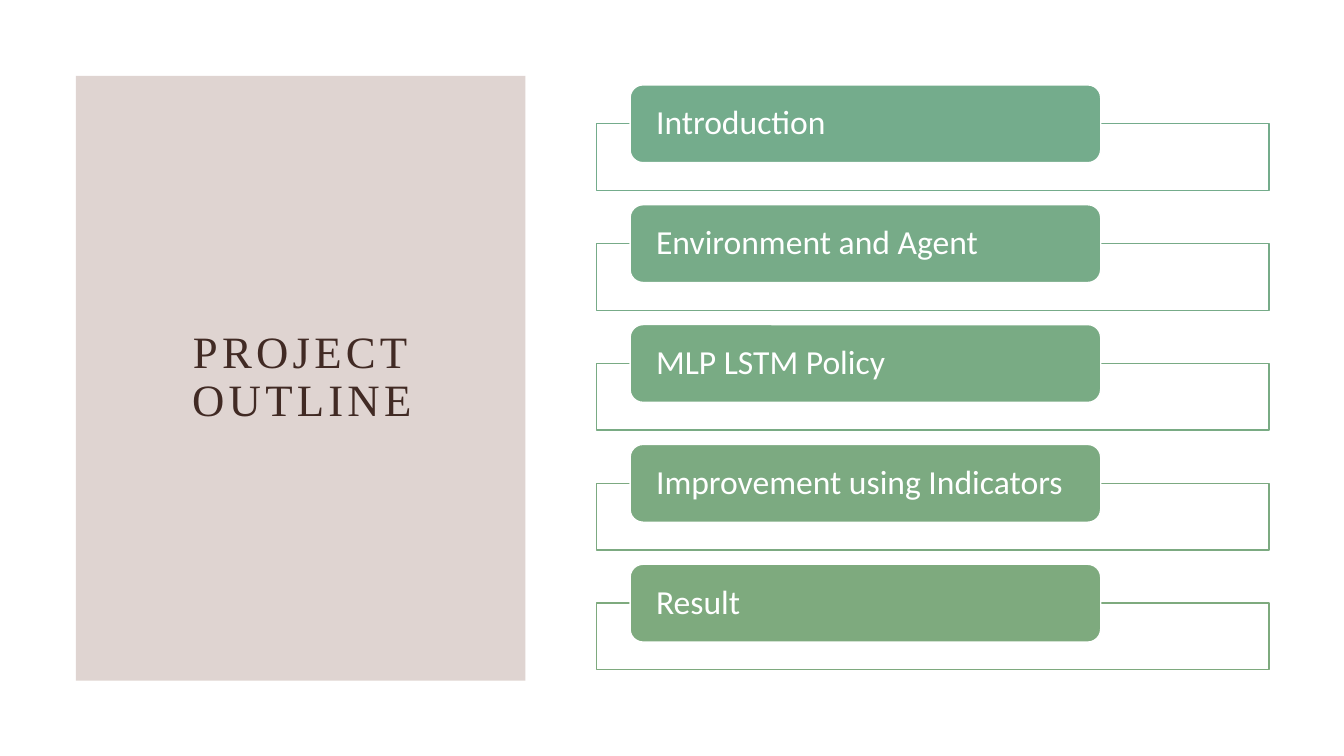
import pptx
import pptx.dml.color
import pptx.enum.shapes
import pptx.enum.text
import pptx.oxml
import pptx.oxml.ns
import pptx.util
from pptx.dml.color import RGBColor
from pptx.util import Cm

WHITE = RGBColor(0xFF, 0xFF, 0xFF)
ROSE = RGBColor(0x83, 0x55, 0x48)
BROWN = RGBColor(0x41, 0x2A, 0x24)
SECTIONS = [
    ("Introduction", RGBColor(0x74, 0xAC, 0x8C)),
    ("Environment and Agent", RGBColor(0x77, 0xAB, 0x88)),
    ("MLP LSTM Policy", RGBColor(0x79, 0xAB, 0x84)),
    ("Improvement using Indicators", RGBColor(0x7C, 0xAA, 0x81)),
    ("Result", RGBColor(0x7E, 0xAA, 0x7E)),
]
ROW_PITCH = 3.02


def apply_format(target, values):
    for name, value in values.items():
        setattr(target, name, value)


class OutlineSlide:
    title_font = {"name": "Times New Roman", "size": pptx.util.Pt(32)}
    label_font = {"name": "Calibri", "size": pptx.util.Pt(24)}
    label_frame = {"margin_left": Cm(0.56), "margin_right": Cm(0.56),
                   "margin_top": 0, "margin_bottom": 0}
    shapes = pptx.enum.shapes.MSO_SHAPE
    alignments = pptx.enum.text.PP_ALIGN

    def __init__(self, deck):
        self.page = deck.slides.add_slide(deck.slide_layouts[6])

    def block(self, kind, bounds, fill, line=None, opacity=100):
        box = self.page.shapes.add_shape(kind, *map(Cm, bounds))
        box.shadow.inherit = False
        box.fill.solid()
        box.fill.fore_color.rgb = fill
        if opacity < 100:
            fill_color = box._element.spPr.find(
                "/".join(map(pptx.oxml.ns.qn, ("a:solidFill", "a:srgbClr"))))
            alpha = pptx.oxml.parse_xml(
                f'<a:alpha {pptx.oxml.ns.nsdecls("a")} val="{opacity * 1000}"/>')
            fill_color.append(alpha)
        if line is None:
            box.line.fill.background()
        else:
            box.line.color.rgb = line
            box.line.width = pptx.util.Pt(1)
        return box

    def label(self, box, text, font, color, alignment):
        apply_format(box.text_frame, {
            "word_wrap": True,
            "vertical_anchor": pptx.enum.text.MSO_ANCHOR.MIDDLE})
        para = box.text_frame.paragraphs[0]
        apply_format(para, {"alignment": alignment, "line_spacing": 0.9})
        span = para.add_run()
        span.text = text
        apply_format(span.font, font)
        span.font.color.rgb = color
        return span

    def title(self, text, bounds):
        box = self.page.shapes.add_textbox(*map(Cm, bounds))
        span = self.label(box, text, self.title_font, BROWN, self.alignments.CENTER)
        span.font._element.set("spc", "300")

    def section(self, text, color, offset):
        self.block(self.shapes.RECTANGLE, (15.04, 3.12 + offset, 16.94, 1.68),
                   WHITE, color, 90)
        pill = self.block(self.shapes.ROUNDED_RECTANGLE,
                          (15.88, 2.14 + offset, 11.86, 1.96), color, WHITE)
        apply_format(pill.text_frame, self.label_frame)
        self.label(pill, text, self.label_font, WHITE, self.alignments.LEFT)


def main():
    deck = pptx.Presentation()
    apply_format(deck, {"slide_width": Cm(33.87), "slide_height": Cm(19.05)})
    outline = OutlineSlide(deck)
    outline.block(outline.shapes.RECTANGLE, (1.91, 1.91, 11.33, 15.24), ROSE, opacity=25)
    outline.title("PROJECT OUTLINE", (3.18, 3.81, 8.86, 11.43))
    for row, (text, color) in enumerate(SECTIONS):
        outline.section(text, color, row * ROW_PITCH)
    deck.save("out.pptx")


if __name__ == "__main__":
    main()
